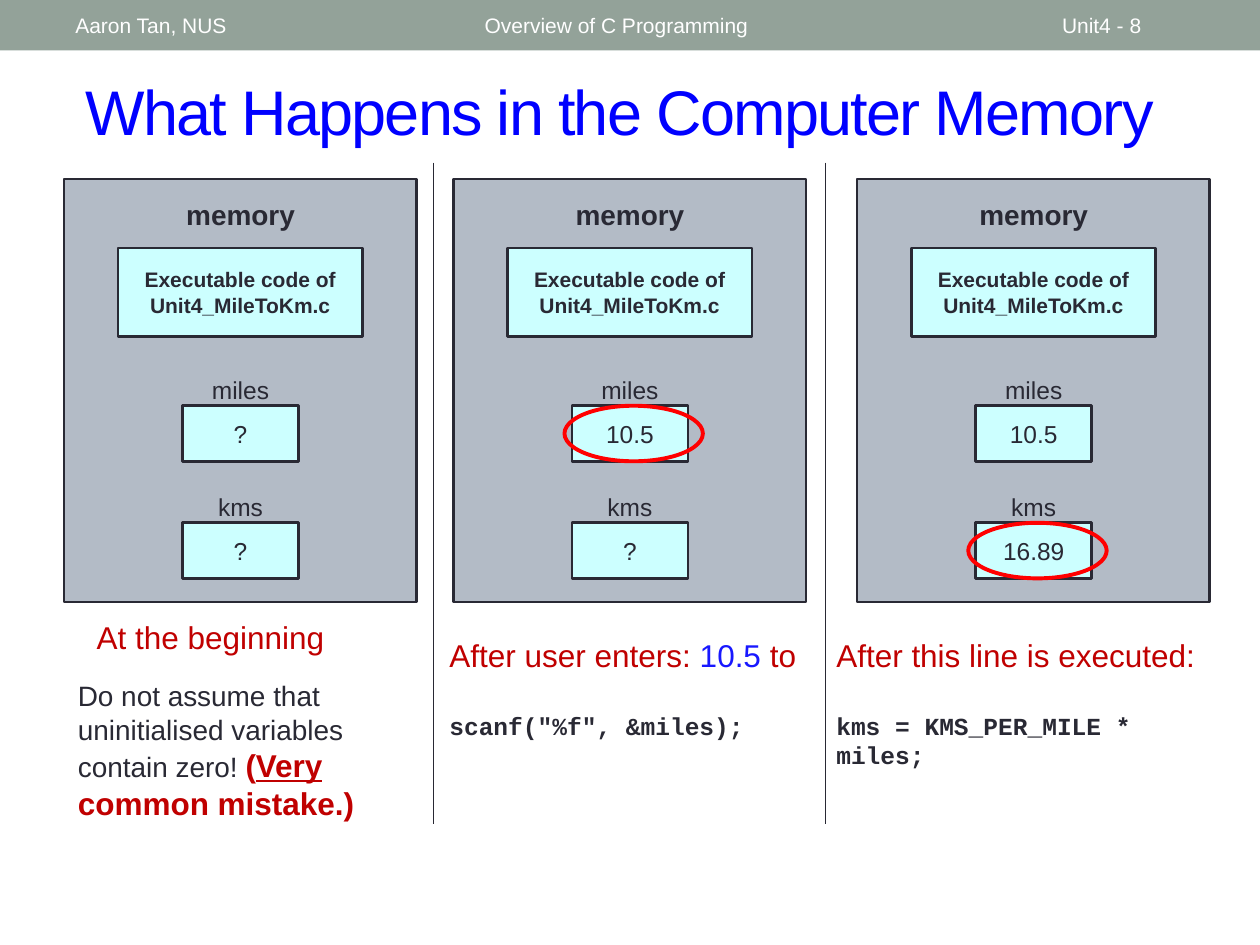
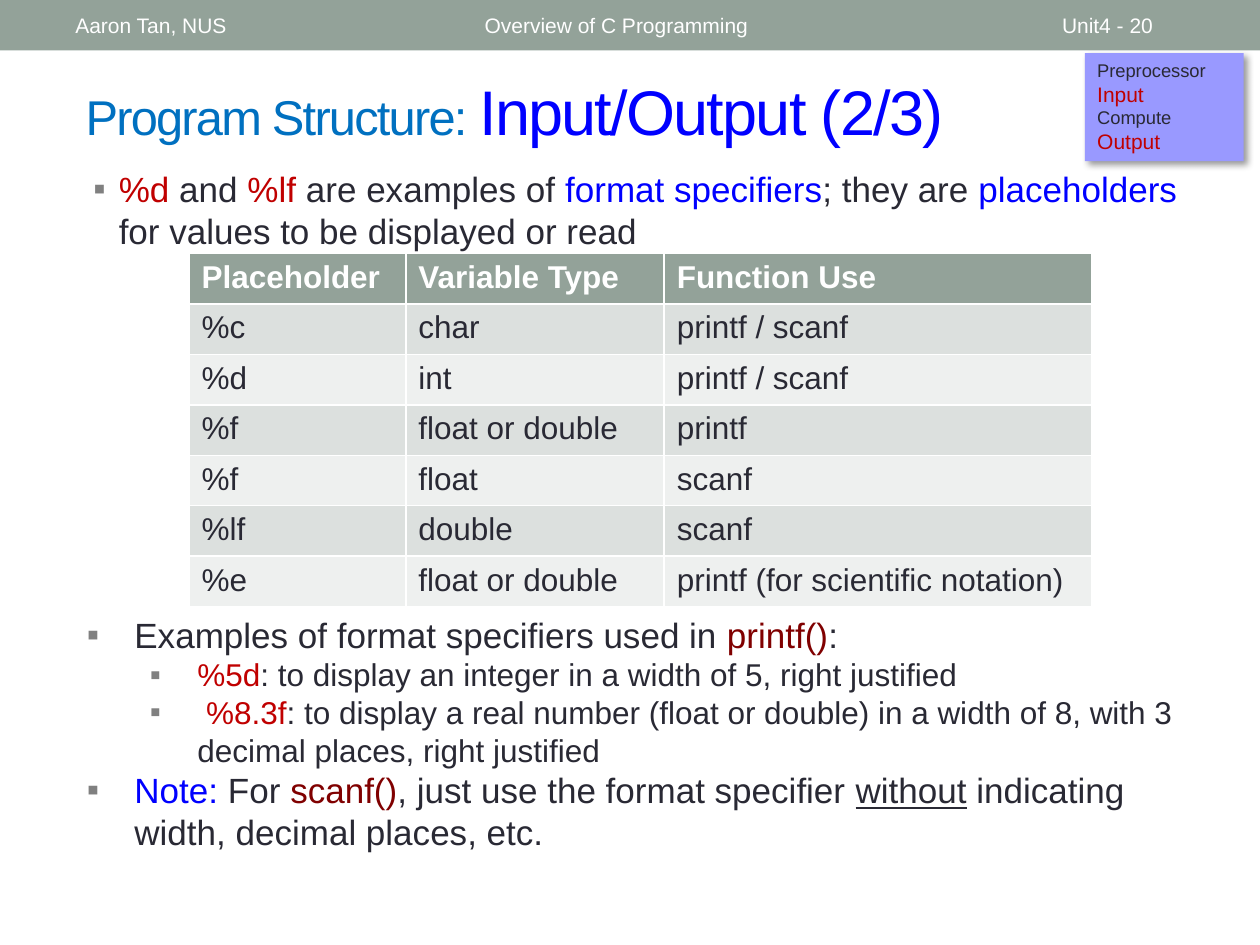
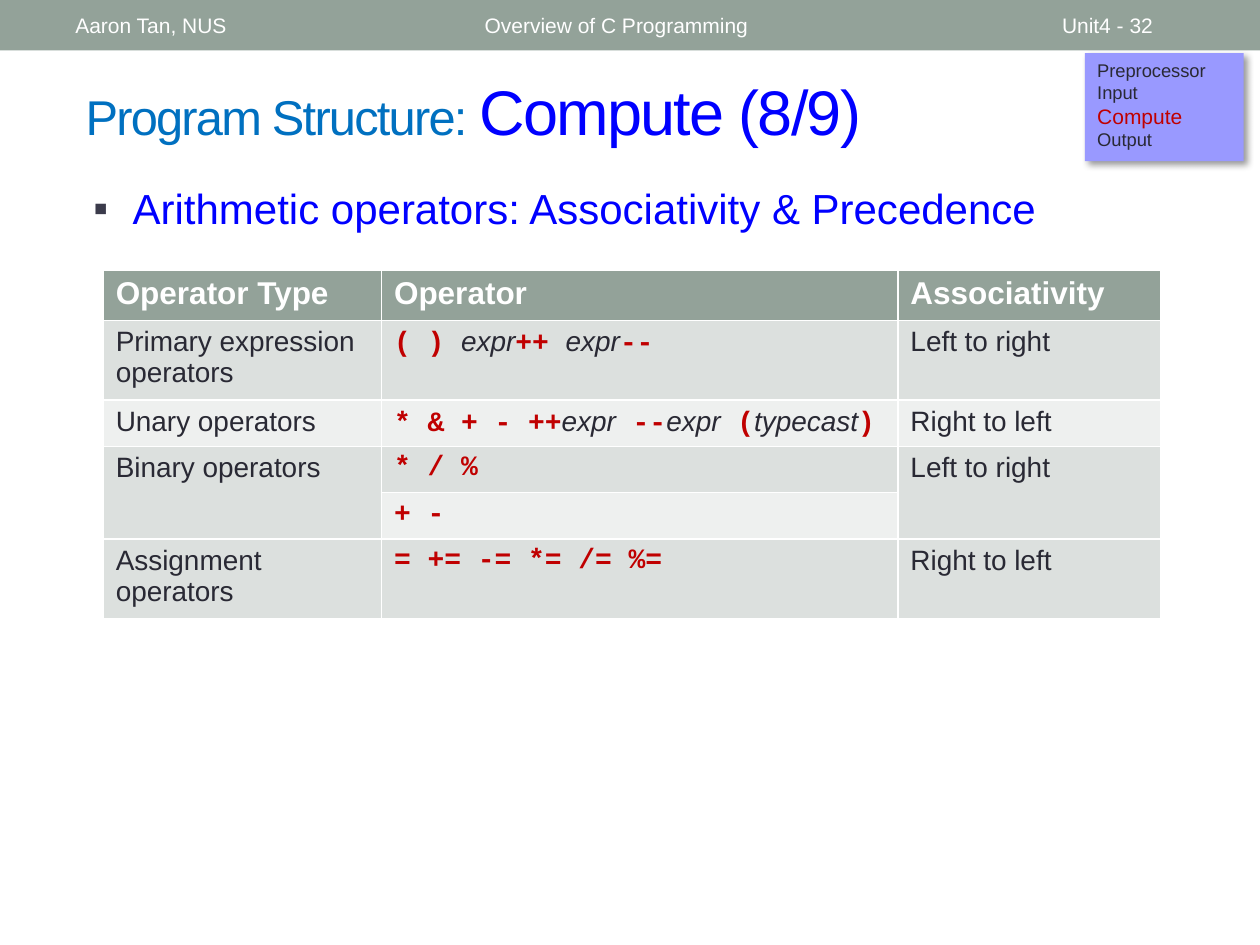
from lxml import etree
from pptx import Presentation
from pptx.dml.color import RGBColor
from pptx.enum.shapes import MSO_CONNECTOR, MSO_SHAPE
from pptx.enum.text import MSO_ANCHOR, MSO_AUTO_SIZE, PP_ALIGN
from pptx.oxml.ns import qn
from pptx.util import Cm, Pt

RECTANGLE, OVAL = MSO_SHAPE.RECTANGLE, MSO_SHAPE.OVAL
STRAIGHT = MSO_CONNECTOR.STRAIGHT
TOP, MIDDLE = MSO_ANCHOR.TOP, MSO_ANCHOR.MIDDLE
LEFT, CENTER = PP_ALIGN.LEFT, PP_ALIGN.CENTER
NO_AUTOFIT = MSO_AUTO_SIZE.NONE

SAGE = RGBColor(0x93, 0xA2, 0x99)
BAND_DARK = RGBColor(0xDC, 0xE0, 0xDE)
BAND_LIGHT = RGBColor(0xEE, 0xF0, 0xEF)
WHITE = RGBColor(0xFF, 0xFF, 0xFF)
INK = RGBColor(0x29, 0x29, 0x34)
BLUE = RGBColor(0x00, 0x00, 0xFF)
INPUT_BLUE = RGBColor(0x18, 0x18, 0xFF)
TITLE_BLUE = RGBColor(0x00, 0x70, 0xC0)
CRIMSON = RGBColor(0xC0, 0x00, 0x00)
MAROON = RGBColor(0x80, 0x00, 0x00)
RED = RGBColor(0xFF, 0x00, 0x00)
MEMORY_GRAY = RGBColor(0xB3, 0xBB, 0xC6)
CELL_CYAN = RGBColor(0xCC, 0xFF, 0xFF)
LILAC = RGBColor(0x99, 0x99, 0xFF)
BULLET_GRAY = RGBColor(0x80, 0x80, 0x80)
BULLET_DARK = RGBColor(0x3B, 0x3B, 0x4B)

PLAIN = {"name": "Arial", "color": INK}
IN_RED = {"color": CRIMSON}
IN_BLUE = {"color": BLUE}
IN_MAROON = {"color": MAROON}
ITALIC = {"italic": True}
UNDERLINED = {"underline": True}
CODE = {"name": "Courier New", "bold": True}
OPERATOR = {**CODE, "color": CRIMSON}
SECTION_TITLE = ("Program Structure: ", {"size": Pt(27.9), "color": TITLE_BLUE})


def apply_format(font, values):
    """Set each format value on a font."""
    for name, value in values.items():
        if name == "color":
            font.color.rgb = value
        else:
            setattr(font, name, value)


def write_text(frame, paragraphs, base, alignment=LEFT):
    """Fill a text frame with paragraphs, each a string or a list of runs."""
    frame.word_wrap = True
    for index, content in enumerate(paragraphs):
        paragraph = frame.add_paragraph() if index else frame.paragraphs[0]
        paragraph.alignment = alignment
        runs = [(content, {})] if isinstance(content, str) else content
        for text, values in runs:
            run = paragraph.add_run()
            run.text = text
            apply_format(run.font, {**PLAIN, **base, **values})
    return frame


def place(shape, box):
    """Move and size a shape to a box given in centimetres."""
    shape.left, shape.top, shape.width, shape.height = map(Cm, box)


def add_text(shapes, box, paragraphs, base, alignment=LEFT, anchor=TOP):
    """Add a text box and return its text frame."""
    frame = shapes.add_textbox(*map(Cm, box)).text_frame
    frame.vertical_anchor = anchor
    return write_text(frame, paragraphs, base, alignment)


def add_figure(shapes, kind, box, fill=None, line=None, width=1.5):
    """Add a preset shape with the given fill and outline."""
    shape = shapes.add_shape(kind, *map(Cm, box))
    shape.shadow.inherit = False
    if fill:
        shape.fill.solid()
        shape.fill.fore_color.rgb = fill
    else:
        shape.fill.background()
    if line:
        shape.line.color.rgb = line
        shape.line.width = Pt(width)
    else:
        shape.line.fill.background()
    return shape


def add_cell_box(shapes, box, text, base):
    """Add an outlined memory cell with centred text."""
    shape = add_figure(shapes, RECTANGLE, box, CELL_CYAN, INK)
    shape.text_frame.vertical_anchor = MIDDLE
    write_text(shape.text_frame, [text], base, CENTER)


def add_bullet(paragraph, margin, hanging, color):
    """Give a paragraph a square bullet with a hanging indent."""
    properties = paragraph._p.get_or_add_pPr()
    properties.set("marL", str(Cm(margin)))
    properties.set("indent", str(-Cm(hanging)))
    bullet_color = etree.SubElement(properties, qn("a:buClr"))
    etree.SubElement(bullet_color, qn("a:srgbClr"), val=str(color))
    etree.SubElement(properties, qn("a:buFont"), typeface="Arial")
    etree.SubElement(properties, qn("a:buChar"), char="▪")


def add_drop_shadow(shape):
    """Give a shape a soft shadow to the lower right."""
    effects = shape.element.spPr.find(qn("a:effectLst"))
    shadow = etree.SubElement(effects, qn("a:outerShdw"), blurRad=str(Pt(4)),
                              dist=str(Pt(3)), dir="2700000", algn="tl", rotWithShape="0")
    color = etree.SubElement(shadow, qn("a:srgbClr"), val="000000")
    etree.SubElement(color, qn("a:alpha"), val="40000")


def add_separator(slide, x):
    """Add a vertical line between two columns."""
    line = slide.shapes.add_connector(STRAIGHT, Cm(x), Cm(3.28), Cm(x), Cm(16.61))
    line.line.color.rgb = INK
    line.line.width = Pt(1)
    etree.SubElement(line.element.spPr, qn("a:effectLst"))


def add_master_band(presentation, slide):
    """Put the header band on the slide master."""
    band = add_figure(slide.shapes, RECTANGLE, (0, 0, 25.4, 1.02), SAGE)
    presentation.slide_master.element.cSld.spTree.insert(2, band.element)


def add_slide(presentation, layout, number, title_runs):
    """Add a slide with its title and header texts."""
    slide = presentation.slides.add_slide(presentation.slide_layouts[layout])
    title = slide.shapes.title
    place(title, (1.47, 1.27, 22.66, 1.9))
    frame = write_text(title.text_frame, [title_runs], {"size": Pt(36), "color": BLUE})
    frame.auto_size = NO_AUTOFIT
    frame.vertical_anchor = MIDDLE
    for run in frame.paragraphs[0].runs:
        run._r.get_or_add_rPr().set("spc", "-100")
    headers = [(9.52, 11.43, "Overview of C Programming"),
               (21.16, 2.97, f"Unit4 - {number}"),
               (1.27, 8.05, "Aaron Tan, NUS")]
    for left, width, text in headers:
        add_text(slide.shapes, (left, 0.05, width, 0.91), [text],
                 {"size": Pt(12), "color": WHITE}, anchor=MIDDLE)
    return slide


def add_body(slide, box, runs, size, indent, bullet_color):
    """Write one bulleted paragraph in the body placeholder."""
    body = slide.placeholders[1]
    place(body, box)
    frame = write_text(body.text_frame, [runs], {"size": Pt(size)})
    frame.auto_size = NO_AUTOFIT
    frame.paragraphs[0].space_before = Pt(0)
    add_bullet(frame.paragraphs[0], indent, indent, bullet_color)


def add_stage_menu(slide, active):
    """Add the list of program stages with the active ones in red."""
    menu = add_figure(slide.shapes, RECTANGLE, (21.87, 1.07, 3.2, 2.18), LILAC)
    add_drop_shadow(menu)
    menu.text_frame.vertical_anchor = TOP
    stages = [[(stage, {"size": Pt(12), **IN_RED} if stage in active else {})]
              for stage in ("Preprocessor", "Input", "Compute", "Output")]
    write_text(menu.text_frame, stages, {"size": Pt(10.5)})


def add_memory(slide, left, values, highlighted=None):
    """Draw the memory with its variables and circle the highlighted one."""
    shapes = slide.shapes.add_group_shape().shapes
    add_figure(shapes, RECTANGLE, (left, 3.61, 7.11, 8.53), MEMORY_GRAY, INK)
    add_text(shapes, (left + 2.06, 3.86, 3, 0.94), ["memory"],
             {"size": Pt(16), "bold": True}, CENTER)
    add_cell_box(shapes, (left + 1.09, 5, 4.93, 1.78),
                 "Executable code of Unit4_MileToKm.c", {"size": Pt(12), "bold": True})
    for index, (name, value) in enumerate(values.items()):
        top = 8.18 + 2.36 * index
        add_text(shapes, (left + 2.56, top - 0.75, 2, 0.86), [name], {"size": Pt(14)}, CENTER)
        add_cell_box(shapes, (left + 2.39, top, 2.34, 1.12), value, {"size": Pt(14)})
        if name == highlighted:
            add_figure(slide.shapes, OVAL, (left + 2.24, top, 2.79, 1.12), line=RED, width=2.25)


def add_grid(slide, left, top, widths, heights, rows, size):
    """Add a table with a header row and banded rows."""
    frame = slide.shapes.add_table(len(rows), len(widths), Cm(left), Cm(top),
                                   Cm(sum(widths)), Cm(sum(heights)))
    table = frame.table
    for column, width in zip(table.columns, widths):
        column.width = Cm(width)
    for row_index, (row, height) in enumerate(zip(rows, heights)):
        table.rows[row_index].height = Cm(height)
        base = {"size": Pt(size), "bold": False}
        fill = BAND_DARK if row_index % 2 else BAND_LIGHT
        if row_index == 0:
            base, fill = {"size": Pt(18), "bold": True, "color": WHITE}, SAGE
        for column_index, content in enumerate(row):
            cell = table.cell(row_index, column_index)
            cell.fill.solid()
            cell.fill.fore_color.rgb = fill
            if content is None:
                table.cell(row_index - 1, column_index).merge(cell)
            else:
                write_text(cell.text_frame, [content], base)
    return table


def build_memory_slide(presentation):
    """Show the memory at three moments of the program."""
    slide = add_slide(presentation, 5, 8, [("What Happens in the Computer Memory", {})])
    add_master_band(presentation, slide)
    add_memory(slide, 1.29, {"miles": "?", "kms": "?"})
    add_memory(slide, 9.14, {"miles": "10.5", "kms": "?"}, "miles")
    add_memory(slide, 17.28, {"miles": "10.5", "kms": "16.89"}, "kms")
    caption = {"size": Pt(18), "color": CRIMSON}
    add_text(slide.shapes, (1.7, 12.34, 5.16, 1.02), ["At the beginning"], caption)
    emphasis = {**caption, "bold": True}
    warning = [("Do not assume that uninitialised variables contain zero! ", {}),
               ("(", emphasis), ("Very", {**emphasis, **UNDERLINED}),
               (" common mistake.)", emphasis)]
    add_text(slide.shapes, (1.32, 13.56, 6.5, 3.18), [warning], {"size": Pt(16)})
    statement = {**CODE, "size": Pt(14), "color": INK}
    entered = [("After user enters: ", {}), ("10.5 ", {"color": INPUT_BLUE}), ("to", {})]
    steps = [(8.81, 7.98, entered, 'scanf("%f", &miles);'),
             (16.61, 8.51, "After this line is executed:", "kms = KMS_PER_MILE * miles;")]
    for left, width, heading, code in steps:
        frame = add_text(slide.shapes, (left, 12.7, width, 2.45),
                         [heading, [(code, statement)]], caption)
        frame.paragraphs[1].space_before = Pt(21)
    for x in (8.74, 16.64):
        add_separator(slide, x)


def build_input_output_slide(presentation):
    """List the format specifiers and their uses."""
    slide = add_slide(presentation, 1, 20, [SECTION_TITLE, ("Input/Output (2/3)", {})])
    add_body(slide, (1.63, 3.25, 22.86, 1.98), [
        ("%d ", IN_RED), ("and", {}), (" %lf ", IN_RED), ("are examples of ", {}),
        ("format specifiers", IN_BLUE), ("; they are ", {}), ("placeholders ", IN_BLUE),
        ("for values to be displayed or read", {})], 20, 0.51, BULLET_GRAY)
    add_grid(slide, 3.81, 5.11, (4.37, 5.21, 8.61), [0.97] * 7, [
        ("Placeholder", "Variable Type", "Function Use"),
        ("%c", "char", "printf / scanf"),
        ("%d", "int", "printf / scanf"),
        ("%f", "float or double", "printf"),
        ("%f", "float", "scanf"),
        ("%lf", "double", "scanf"),
        ("%e", "float or double", "printf (for scientific notation)")], 18)
    smaller = {"size": Pt(18)}
    notes = [
        [("Examples of format specifiers used in ", {}), ("printf()", IN_MAROON), (":", {})],
        [("%5d", {**smaller, **IN_RED}),
         (": to display an integer in a width of 5, right justified", smaller)],
        [(" %8.3f", {**smaller, **IN_RED}),
         (": to display a real number (float or double) in a width of 8, "
          "with 3 decimal places, right justified", smaller)],
        [("Note: ", IN_BLUE), ("For ", {}), ("scanf()", IN_MAROON),
         (", just use the format specifier ", {}), ("without", UNDERLINED),
         (" indicating width, decimal places, etc.", {})]]
    frame = add_text(slide.shapes, (1.5, 12.24, 22.86, 5.72), notes, {"size": Pt(20)})
    for paragraph, level in zip(frame.paragraphs, (0, 1, 1, 0)):
        paragraph.level = level
        add_bullet(paragraph, 0.96 + 1.27 * level, 0.96, BULLET_GRAY)
    add_stage_menu(slide, ("Input", "Output"))


def build_compute_slide(presentation):
    """Show the associativity and precedence of the operators."""
    slide = add_slide(presentation, 1, 32, [SECTION_TITLE, ("Compute (8/9)", {})])
    add_stage_menu(slide, ("Compute",))
    add_body(slide, (1.63, 3.56, 22.86, 1.7),
             [("Arithmetic operators: Associativity & Precedence", IN_BLUE)],
             24, 0.79, BULLET_DARK)
    expression = ("expr", ITALIC)
    primary = [("( ) ", OPERATOR), expression, ("++ ", OPERATOR), expression, ("--", OPERATOR)]
    unary = [("* & + - ++", OPERATOR), expression, (" --", OPERATOR), expression,
             (" (", OPERATOR), ("typecast", ITALIC), (")", OPERATOR)]
    add_grid(slide, 2.08, 5.44, (5.61, 10.41, 5.31), [0.97] + [0.89] * 5, [
        ("Operator Type", "Operator", "Associativity"),
        ("Primary expression operators", primary, "Left to right"),
        ("Unary operators", unary, "Right to left"),
        ("Binary operators", [("* / %", OPERATOR)], "Left to right"),
        (None, [("+ -", OPERATOR)], None),
        ("Assignment operators", [("= += -= *= /= %=", OPERATOR)], "Right to left")], 16)


def main():
    """Build the slides and save the presentation."""
    presentation = Presentation()
    presentation.slide_width, presentation.slide_height = Cm(25.4), Cm(19.05)
    build_memory_slide(presentation)
    build_input_output_slide(presentation)
    build_compute_slide(presentation)
    presentation.save("out.pptx")


if __name__ == "__main__":
    main()
